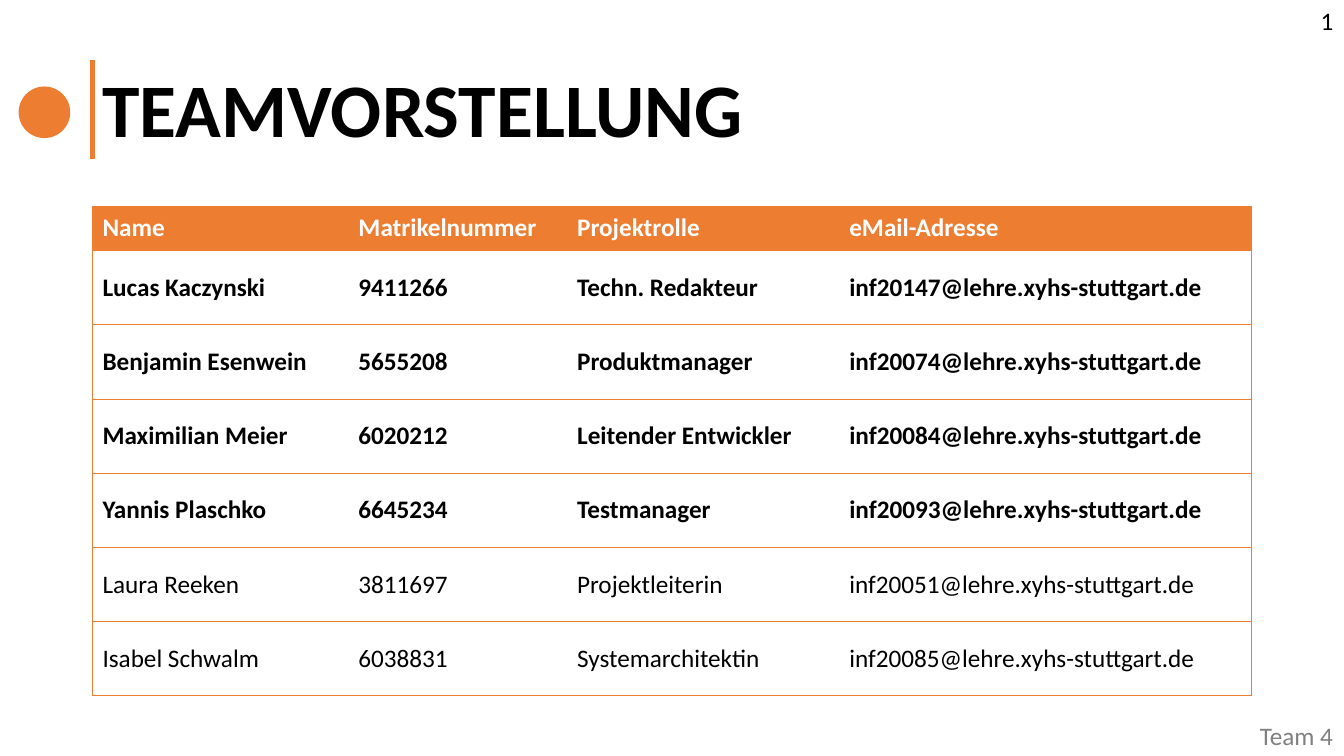
from lxml.etree import SubElement
from pptx import Presentation
from pptx.dml.color import RGBColor
from pptx.enum.shapes import MSO_CONNECTOR as Line, MSO_SHAPE as Form
from pptx.enum.text import MSO_ANCHOR as Anchor, MSO_AUTO_SIZE as Fit, PP_ALIGN as Align
from pptx.oxml import parse_xml
from pptx.oxml.ns import nsdecls, qn
from pptx.util import Cm, Pt

ORANGE, BLACK, WHITE, GREY = "ED7D31", "000000", "FFFFFF", "808080"
PLAIN = "{2D5ABB26-0587-4C30-8999-92F81FD0307C}"
HEAD = ["Name", "Matrikelnummer", "Projektrolle", "eMail-Adresse"]
TEAM = [
    ("Lucas Kaczynski", "9411266", "Techn. Redakteur", "inf20147", True),
    ("Benjamin Esenwein", "5655208", "Produktmanager", "inf20074", True),
    ("Maximilian Meier", "6020212", "Leitender Entwickler", "inf20084", True),
    ("Yannis Plaschko", "6645234", "Testmanager", "inf20093", True),
    ("Laura Reeken", "3811697", "Projektleiterin", "inf20051", False),
    ("Isabel Schwalm", "6038831", "Systemarchitektin", "inf20085", False),
]
DOMAIN = "@lehre.xyhs-stuttgart.de"
WIDTHS = [6.45, 5.51, 6.86, 10.39]


def paint(part, color):
    """Give a fill, line or font a hex colour."""
    if hasattr(part, "solid"):
        part.solid()
        part.fore_color.rgb = RGBColor.from_string(color)
    else:
        part.color.rgb = RGBColor.from_string(color)


def write(frame, text, size, color, bold=False):
    """Put one formatted paragraph into a text frame."""
    frame.text = text
    para = frame.paragraphs[0]
    para.alignment = Align.LEFT
    font = para.font
    font.name, font.size, font.bold = "Calibri", Pt(size), bold
    paint(font, color)
    return para


def edge(cell, sides):
    """Draw thin orange borders on the given sides of a cell."""
    props = cell._tc.get_or_add_tcPr()
    for spot, side in enumerate(sides):
        props.insert(spot, parse_xml(
            f'<a:ln{side} w="6350" {nsdecls("a")}><a:solidFill>'
            f'<a:srgbClr val="{ORANGE}"/></a:solidFill></a:ln{side}>'))


def header(slide, left, top, width, height):
    """Place the title with its bar and the dot to the left of it."""
    title = slide.shapes.title
    title.left, title.top, title.width, title.height = map(Cm, (left, top, width, height))
    frame = title.text_frame
    frame.word_wrap, frame.auto_size = True, Fit.NONE
    frame.vertical_anchor = Anchor.MIDDLE
    write(frame, "TEAMVORSTELLUNG", 54, BLACK, True).line_spacing = 0.9

    bar = slide.shapes.add_connector(
        Line.STRAIGHT, Cm(left), Cm(top + 3), Cm(left), Cm(top + 0.5))
    paint(bar.line, ORANGE)
    bar.line.width = Pt(3)
    SubElement(bar._element.spPr, qn("a:effectLst"))

    dot = slide.shapes.add_shape(
        Form.OVAL, Cm(left - 1.86), Cm(top + 1.17), Cm(1.3), Cm(1.3))
    dot.shadow.inherit = False
    paint(dot.fill, ORANGE)
    dot.line.fill.background()


def roster(slide, left, top, width, height):
    """Place the team table with a short head row and equal body rows."""
    rows = [(HEAD, True)] + [
        ([name, number, role, mail + DOMAIN], bold)
        for name, number, role, mail, bold in TEAM]
    frame = slide.shapes.add_table(
        len(rows), len(HEAD), Cm(left), Cm(top), Cm(width), Cm(height))
    table = frame.table
    table.horz_banding = False
    table._tbl.tblPr.find(qn("a:tableStyleId")).text = PLAIN
    for col, size in zip(table.columns, WIDTHS):
        col.width = Cm(size)
    first = 1.12
    for y, (texts, bold) in enumerate(rows):
        table.rows[y].height = Cm(first if y == 0 else (height - first) / len(TEAM))
        for x, text in enumerate(texts):
            cell = table.cell(y, x)
            cell.vertical_anchor = Anchor.MIDDLE
            write(cell.text_frame, text, 18, WHITE if y == 0 else BLACK, bold)
            paint(cell.fill, ORANGE if y == 0 else WHITE)
            edge(cell, "L" * (x == 0) + "R" * (x == len(HEAD) - 1) + "TB")


def label(slide, text, color, left, top, width, height):
    """Place a small text on the margin of the slide."""
    box = slide.shapes.add_textbox(Cm(left), Cm(top), Cm(width), Cm(height))
    box.text_frame.word_wrap = False
    write(box.text_frame, text, 18, color)


def main():
    """Build and save the team slide."""
    deck = Presentation()
    deck.slide_width, deck.slide_height = Cm(33.87), Cm(19.05)
    slide = deck.slides.add_slide(deck.slide_layouts[5])
    header(slide, 2.33, 1.01, 29.21, 3.68)
    roster(slide, 2.33, 5.19, 29.21, 12.34)
    label(slide, "Team 4", GREY, 31.5, 18.03, 2.37, 1.02)
    label(slide, "1", BLACK, 33.03, 0, 0.84, 1.02)
    deck.save("out.pptx")


if __name__ == "__main__":
    main()
